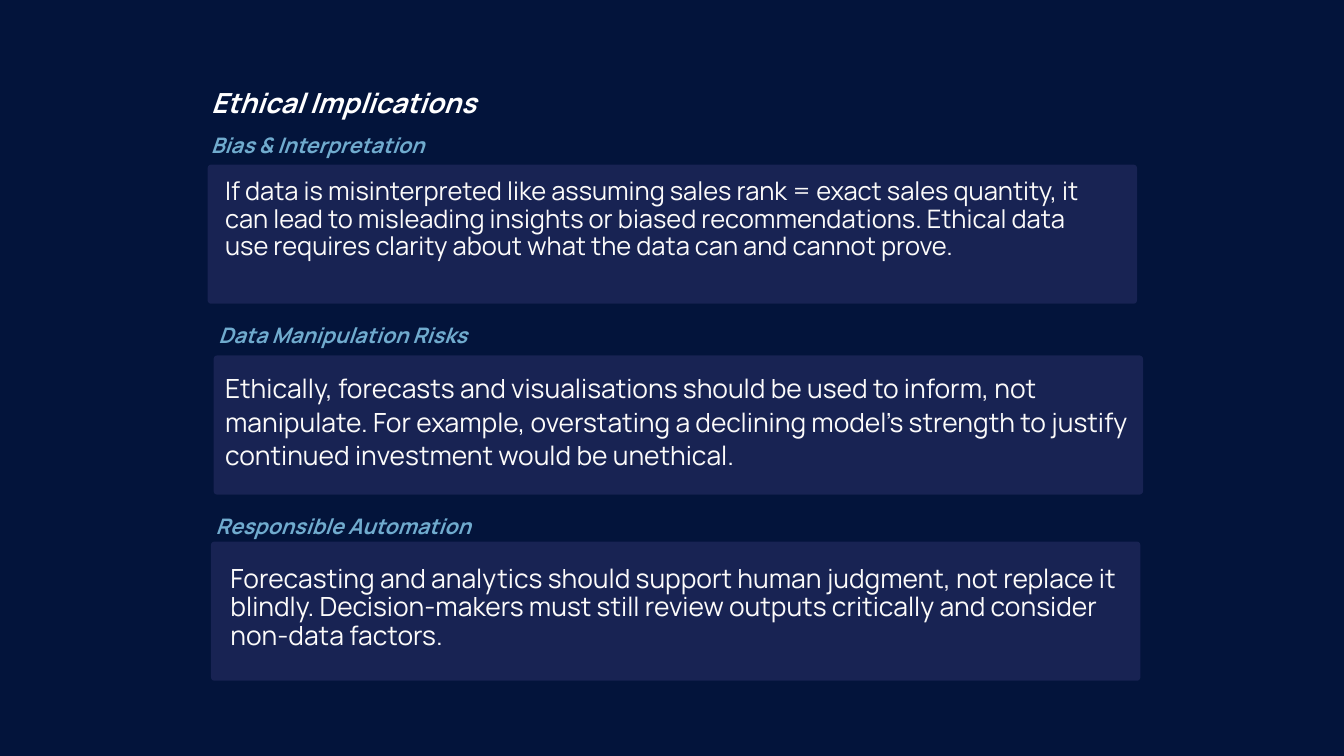
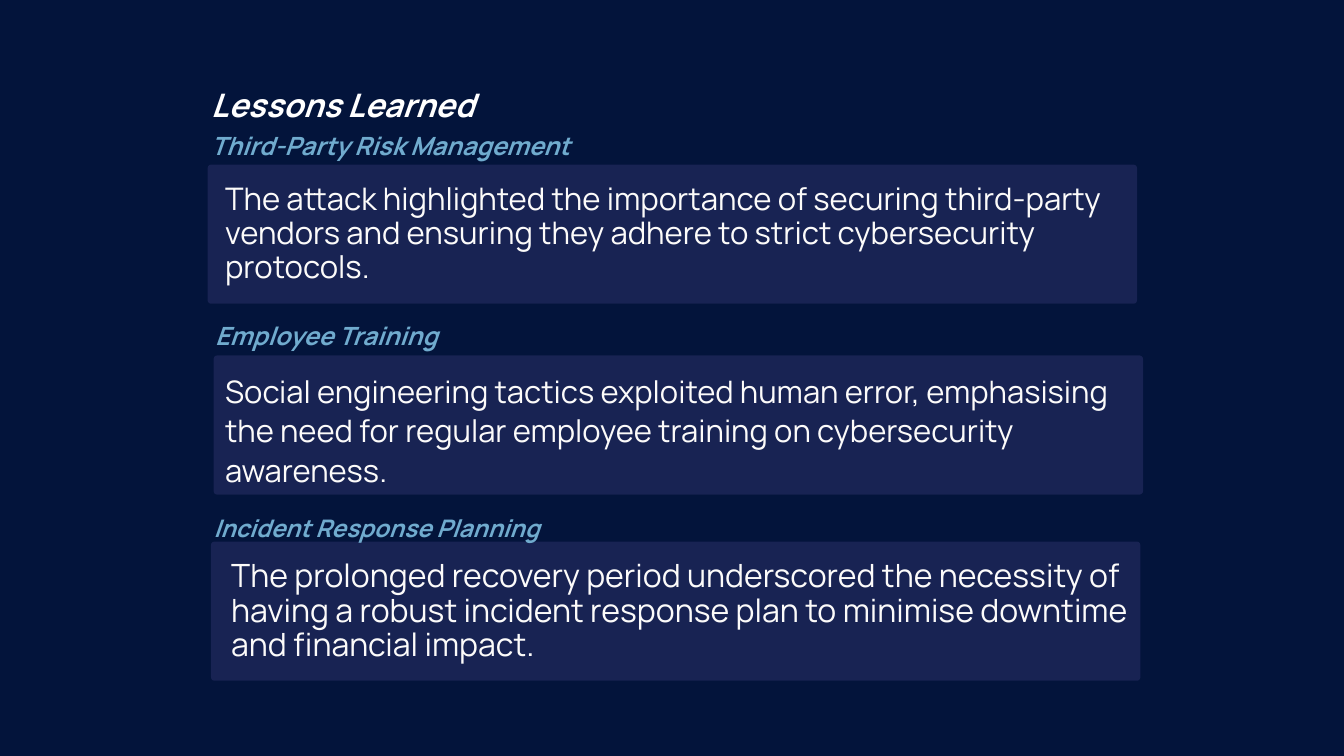
from lxml.etree import SubElement
from pptx import Presentation
from pptx.dml.color import RGBColor
from pptx.enum.shapes import MSO_SHAPE
from pptx.enum.text import MSO_AUTO_SIZE
from pptx.oxml.ns import qn
from pptx.util import Inches, Pt

NAVY, PANEL, WHITE, CREAM, SKY = "03143B", "2A3066", "FFFFFF", "FCFBFA", "70ABCE"
PANEL_WIDTH, PANEL_HEIGHT, PANEL_RADIUS = 13.83, 2.07, 0.05
PANEL_OPACITY = 56
PANEL_CORNERS = [(3.09, 2.45), (3.18, 5.29), (3.14, 8.06)]

TITLE = {"color": WHITE, "bold": True, "italic": True}
HEADING = {"color": SKY, "bold": True, "italic": True}
BODY = {"color": CREAM, "bold": False, "italic": False}

# Each entry: style, (left, top, width, height), font size, line spacing, text
SLIDES = [
    [
        (TITLE, (3.14, 1.33, 4.95, 0.48), 29.7, 32, "Ethical Implications"),
        (HEADING, (3.14, 2, 3.83, 0.36), 22.9, 24.8, "Bias & Interpretation"),
        (BODY, (3.35, 2.65, 13.2, 1.67), 27.3, 29.5,
         "If data is misinterpreted like assuming sales rank = exact sales quantity, "
         "it can lead to misleading insights or biased recommendations. Ethical data "
         "use requires clarity about what the data can and cannot prove."),
        (HEADING, (3.25, 4.83, 4.35, 0.36), 22.9, 24.8, "Data Manipulation Risks"),
        (BODY, (3.35, 5.52, 13.56, 1.5), 28.3, 35.6,
         "Ethically, forecasts and visualisations should be used to inform, not "
         "manipulate. For example, overstating a declining model’s strength to "
         "justify continued investment would be unethical."),
        (HEADING, (3.21, 7.67, 4.63, 0.36), 22.9, 24.8, "Responsible Automation"),
        (BODY, (3.43, 8.41, 13.38, 1.71), 28.3, 30.6,
         "Forecasting and analytics should support human judgment, not replace it "
         "blindly. Decision-makers must still review outputs critically and consider "
         "non-data factors."),
    ],
    [
        (TITLE, (3.14, 1.33, 5.1, 0.56), 34.7, 37.4, "Lessons Learned"),
        (HEADING, (3.14, 1.98, 6.1, 0.44), 26.9, 29.1, "Third-Party Risk Management"),
        (BODY, (3.35, 2.73, 13.2, 1.51), 33.3, 36,
         "The attack highlighted the importance of securing third-party vendors and "
         "ensuring they adhere to strict cybersecurity protocols."),
        (HEADING, (3.2, 4.81, 6.04, 0.44), 26.9, 29.1, "Employee Training"),
        (BODY, (3.35, 5.52, 13.56, 1.74), 33.2, 41.9,
         "Social engineering tactics exploited human error, emphasising the need for "
         "regular employee training on cybersecurity awareness."),
        (HEADING, (3.18, 7.68, 5.43, 0.42), 25.9, 28, "Incident Response Planning"),
        (BODY, (3.44, 8.33, 13.38, 1.58), 34.3, 37,
         "The prolonged recovery period underscored the necessity of having a robust "
         "incident response plan to minimise downtime and financial impact."),
    ],
]


def paint(fill, color):
    fill.solid()
    fill.fore_color.rgb = RGBColor.from_string(color)


def add_text(page, style, place, size, spacing, text):
    box = page.shapes.add_textbox(*map(Inches, place))
    frame = box.text_frame
    frame_format = {"word_wrap": True, "auto_size": MSO_AUTO_SIZE.SHAPE_TO_FIT_TEXT,
                    "margin_left": 0, "margin_top": 0,
                    "margin_right": 0, "margin_bottom": 0}
    for name, value in frame_format.items():
        setattr(frame, name, value)
    para = frame.paragraphs[0]
    para.line_spacing = Pt(spacing)
    span = para.add_run()
    span.text = text
    font_format = {"name": "Manrope", "size": Pt(size),
                   "bold": style["bold"], "italic": style["italic"]}
    for name, value in font_format.items():
        setattr(span.font, name, value)
    paint(span.font.fill, style["color"])


deck = Presentation()
deck.slide_width, deck.slide_height = Inches(20), Inches(11.25)

for texts in SLIDES:
    page = deck.slides.add_slide(deck.slide_layouts[6])
    paint(page.background.fill, NAVY)

    for left, top in PANEL_CORNERS:
        panel = page.shapes.add_shape(
            MSO_SHAPE.ROUNDED_RECTANGLE, Inches(left), Inches(top),
            Inches(PANEL_WIDTH), Inches(PANEL_HEIGHT))
        panel.adjustments[0] = PANEL_RADIUS / PANEL_HEIGHT
        panel.shadow.inherit = False
        panel.line.fill.background()
        paint(panel.fill, PANEL)
        color = panel.fill._xPr.find(qn("a:solidFill"))[0]
        SubElement(color, qn("a:alpha"), val=str(PANEL_OPACITY * 1000))

    for entry in texts:
        add_text(page, *entry)

deck.save("out.pptx")
